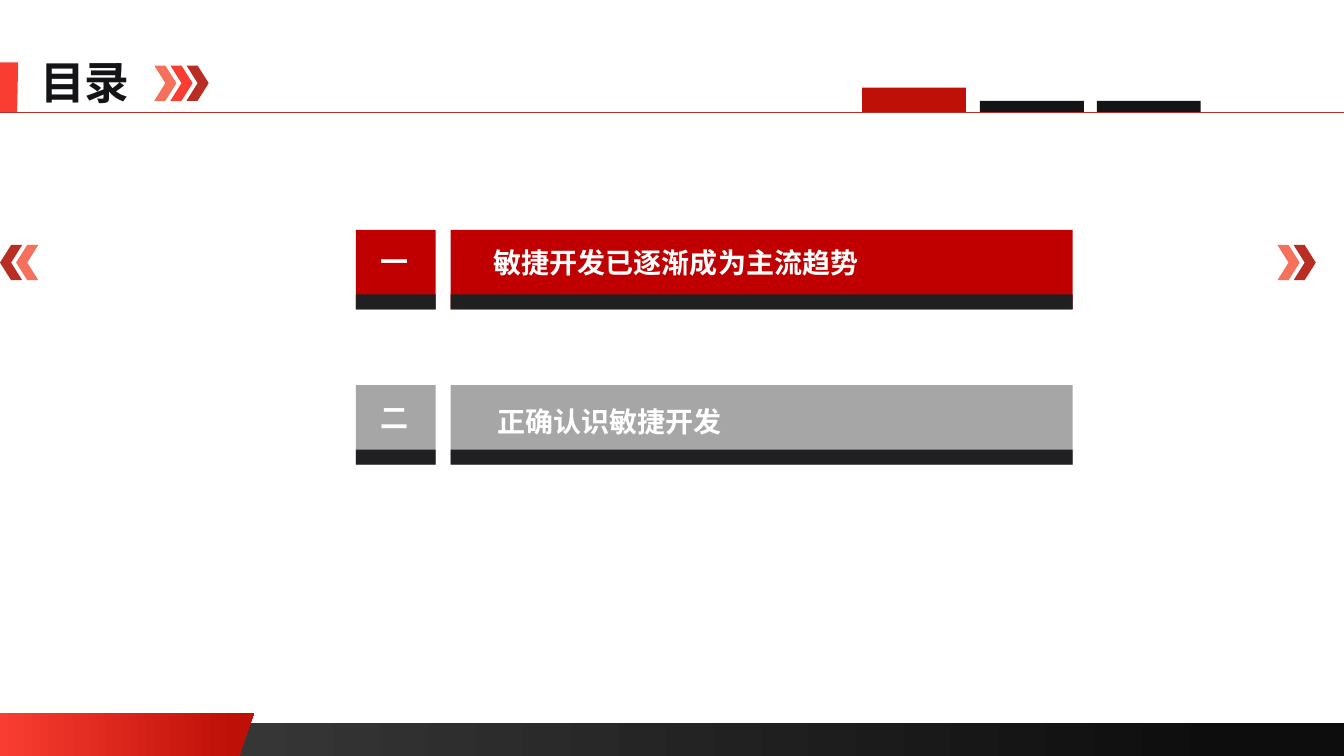
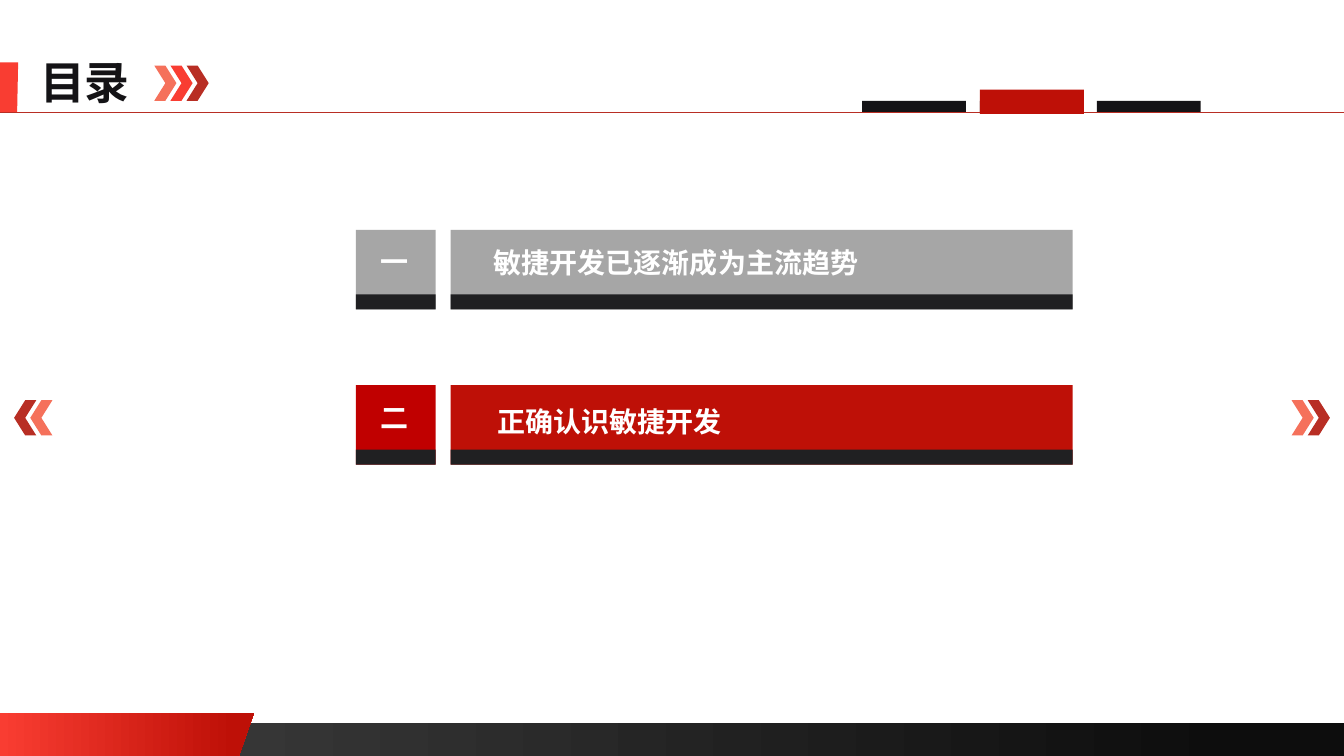
import dataclasses

import pptx
import pptx.dml.color
import pptx.enum.shapes
import pptx.enum.text
import pptx.oxml.ns
import pptx.util
from lxml import etree

PX = 9144  # EMU per px, 100 px to the inch
WIDTH, HEIGHT = 1333, 750
SHAPE = pptx.enum.shapes.MSO_SHAPE
ALIGN = pptx.enum.text.PP_ALIGN


@dataclasses.dataclass(frozen=True)
class Theme:
    font: str = "Noto Sans CJK SC"
    title_size: int = 32
    item_size: int = 20
    white: str = "FFFFFF"
    ink: str = "141316"
    shade: str = "202022"
    grey: str = "A6A6A6"
    active: str = "C00000"
    crimson: str = "BE1007"
    bright: str = "F93D32"
    coral: str = "F5715B"
    brick: str = "B82E24"
    band_start: str = "404040"
    band_end: str = "0D0D0D"


def rgb(value):
    return pptx.dml.color.RGBColor.from_string(value)


class Deck:
    TABS = (855, 972, 1088)
    ROW_TOP, ROW_PITCH = 228, 154

    def __init__(self, prs, theme):
        self.prs, self.theme = prs, theme
        self.shapes = None

    # Basic elements
    def style(self, sp, *colors):
        """Fill with one colour, or a left-to-right gradient of two."""
        sp.shadow.inherit = False
        sp.line.fill.background()
        if len(colors) == 1:
            sp.fill.solid()
            sp.fill.fore_color.rgb = rgb(colors[0])
        else:
            sp.fill.gradient()
            sp.fill.gradient_angle = 0
            for stop, color, position in zip(sp.fill.gradient_stops, colors, (0, 0.92)):
                stop.color.rgb = rgb(color)
                stop.position = position
        return sp

    def box(self, x, y, w, h, *colors, kind=SHAPE.RECTANGLE):
        sp = self.shapes.add_shape(kind, x * PX, y * PX, w * PX, h * PX)
        return self.style(sp, *colors)

    def outline(self, points, *colors):
        builder = self.shapes.build_freeform(*points[0], scale=PX)
        builder.add_line_segments(points[1:], close=True)
        return self.style(builder.convert_to_shape(), *colors)

    def text(self, x, y, w, h, words, size, color, align=ALIGN.CENTER):
        sp = self.shapes.add_textbox(x * PX, y * PX, w * PX, h * PX)
        tf = sp.text_frame
        tf.word_wrap = False
        tf.auto_size = pptx.enum.text.MSO_AUTO_SIZE.SHAPE_TO_FIT_TEXT
        p = tf.paragraphs[0]
        p.alignment = align
        r = p.add_run()
        r.text = words
        r.font.size = pptx.util.Pt(size)
        r.font.bold = True
        r.font.color.rgb = rgb(color)
        r.font.name = self.theme.font
        ea = etree.SubElement(r.font._element, pptx.oxml.ns.qn("a:ea"))
        ea.set("typeface", self.theme.font)
        return sp

    def rule(self, y, color):
        line = self.shapes.add_connector(
            pptx.enum.shapes.MSO_CONNECTOR.STRAIGHT, 0, y * PX, WIDTH * PX, y * PX)
        line.line.color.rgb = rgb(color)
        line.line.width = pptx.util.Pt(0.5)
        etree.SubElement(line._element.spPr, pptx.oxml.ns.qn("a:effectLst"))

    def chevrons(self, x, y, colors, rotation=0):
        parts = []
        for i, color in enumerate(colors):
            sp = self.box(x + 16 * i, y, 22, 35, color, kind=SHAPE.CHEVRON)
            sp.rotation = rotation
            parts.append(sp)
        self.shapes.add_group_shape(parts)

    # Shared frame: footer band, title and header rule
    def new_slide(self, title):
        t = self.theme
        slide = self.prs.slides.add_slide(self.prs.slide_layouts[6])
        slide.background.fill.solid()
        slide.background.fill.fore_color.rgb = rgb(t.white)
        self.shapes = slide.shapes
        self.box(0, 717, WIDTH, 33, t.band_start, t.band_end)
        self.outline([(0, 707), (252, 707), (237, HEIGHT), (0, HEIGHT)], t.bright, t.crimson)
        self.outline([(0, 62), (18, 62), (17, 112), (0, 112)], t.bright)
        self.text(30, 49, 110, 64, title, t.title_size, t.ink, ALIGN.LEFT)
        self.rule(111, t.brick)
        self.chevrons(153, 65, (t.coral, t.bright, t.brick))

    # Header tabs, the current one taller and red
    def tabs(self, current, top):
        for x in self.TABS:
            self.box(x, 100, 103, 11, self.theme.ink)
        self.box(self.TABS[current], top, 103, 24, self.theme.crimson)

    # Chevron pairs at both slide edges, level with the current row
    def markers(self, current, left, right):
        t = self.theme
        y = self.ROW_TOP + self.ROW_PITCH * current + 15
        self.chevrons(left, y, (t.brick, t.coral), rotation=180)
        self.chevrons(right, y, (t.coral, t.brick))

    # Numbered contents row
    def row(self, index, number, label, label_at, number_fill, bar_fill):
        t = self.theme
        y = self.ROW_TOP + self.ROW_PITCH * index
        parts = []
        for x, w, fill in ((353, 79, number_fill), (447, 617, bar_fill)):
            parts.append(self.box(x, y, w, 79, fill))
            parts.append(self.box(x, y + 64, w, 15, t.shade))
        parts.append(self.text(367, y + 10, 48, 44, number, t.item_size, t.white))
        self.shapes.add_group_shape(parts)
        x, dy, w = label_at
        self.text(x, y + dy, w, 44, label, t.item_size, t.white)


# Number, label, and label placement (left, offset in row, width)
ITEMS = (
    ("一", "敏捷开发已逐渐成为主流趋势", (478, 11, 385)),
    ("二", "正确认识敏捷开发", (482, 14, 245)),
)


def main():
    prs = pptx.Presentation()
    prs.slide_width, prs.slide_height = WIDTH * PX, HEIGHT * PX
    theme = Theme()
    deck = Deck(prs, theme)
    # Tab top, marker positions and bar colour for each current item
    views = ((87, 0, 1267, theme.active), (89, 14, 1281, theme.crimson))
    for current, (tab_top, left, right, bar_fill) in enumerate(views):
        deck.new_slide("目录")
        deck.markers(current, left, right)
        deck.tabs(current, tab_top)
        for i, (number, label, label_at) in enumerate(ITEMS):
            fills = (theme.active, bar_fill) if i == current else (theme.grey, theme.grey)
            deck.row(i, number, label, label_at, *fills)
    prs.save("out.pptx")


if __name__ == "__main__":
    main()
